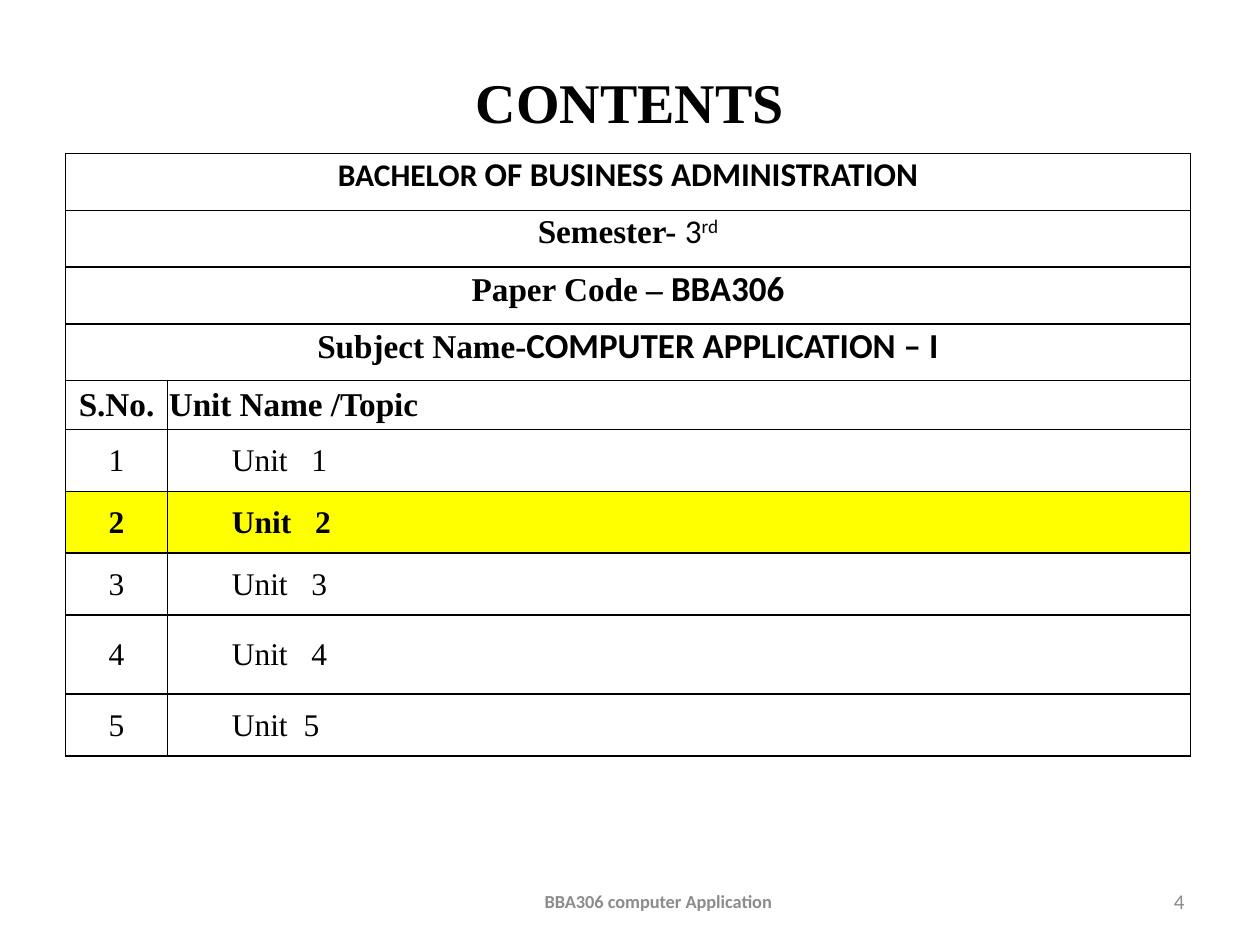
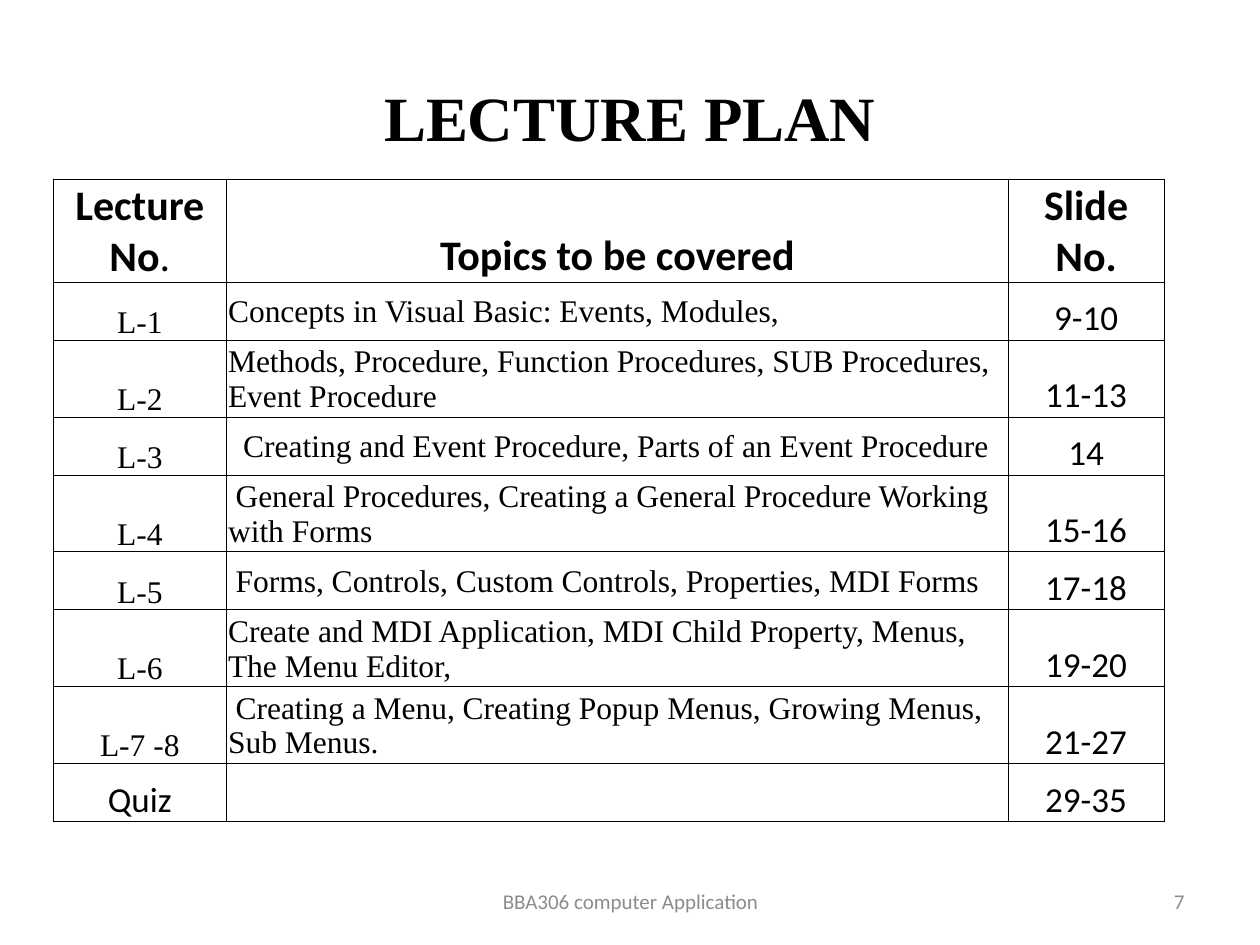
"""Builds the contents and lecture plan slides of a computer application course."""
from dataclasses import dataclass, replace

from lxml.etree import SubElement
from pptx import Presentation
from pptx.dml.color import RGBColor
from pptx.enum.text import MSO_ANCHOR, PP_ALIGN
from pptx.oxml.ns import qn
from pptx.util import Inches, Pt


@dataclass(frozen=True)
class Type:
    font: str
    size: float
    bold: bool = False
    color: str = "000000"
    baseline: int = 0
    spacing: float = 0


@dataclass(frozen=True)
class Theme:
    line: str = "000000"
    highlight: str = "FFFF00"
    title: Type = Type("Times New Roman", 32, True)
    big_title: Type = Type("Times New Roman", 36, True)
    footer: Type = Type("Calibri", 12, color="8C8C8C")
    bold_footer: Type = Type("Calibri", 10.5, True, "8C8C8C")
    label: Type = Type("Times New Roman", 19, True)
    course: Type = Type("Calibri", 19, True)
    small_course: Type = Type("Calibri", 18, True)
    code: Type = Type("Calibri", 20, True)
    semester: Type = Type("Calibri", 19)
    ordinal: Type = Type("Calibri", 19, baseline=30000)
    body: Type = Type("Times New Roman", 18)
    bold_body: Type = Type("Times New Roman", 18, True)
    number: Type = Type("Calibri", 20)
    heading: Type = Type("Calibri", 24, True)
    plain_heading: Type = Type("Calibri", 24)


class Deck:
    """Holds the theme and the current slide, with a method for each element."""

    def __init__(self, theme):
        self.theme = theme
        self.presentation = Presentation()
        self.presentation.slide_width = Inches(10)
        self.presentation.slide_height = Inches(7.5)
        self.page = None

    def add_page(self, title, title_top, title_type, footer_width, footer_type, number):
        """Starts a slide with its title, footer and slide number."""
        self.page = self.presentation.slides.add_slide(self.presentation.slide_layouts[6])
        self.text(title, title_type, 0.5, title_top, 9, 1.25)
        self.text("BBA306 computer Application", footer_type, 3.42, 6.95, footer_width, 0.4)
        self.text(str(number), self.theme.footer, 7.17, 6.95, 2.33, 0.4, PP_ALIGN.RIGHT)

    def text(self, words, kind, left, top, width, height, align=PP_ALIGN.CENTER):
        """Adds a text box with one vertically centred paragraph."""
        box = self.page.shapes.add_textbox(
            Inches(left), Inches(top), Inches(width), Inches(height))
        box.text_frame.word_wrap = True
        box.text_frame.vertical_anchor = MSO_ANCHOR.MIDDLE
        self.fill_para(box.text_frame.paragraphs[0], [(words, kind)], align)

    def style(self, font, kind):
        """Applies a type to a font."""
        font.name = kind.font
        font.size = Pt(kind.size)
        font.bold = kind.bold
        font.color.rgb = RGBColor.from_string(kind.color)

    def fill_para(self, para, spans, align):
        """Fills a paragraph, with the font on the paragraph when all spans agree."""
        para.alignment = align
        shared = len({replace(kind, baseline=0, spacing=0) for _, kind in spans}) == 1
        if shared:
            self.style(para.font, spans[0][1])
        for words, kind in spans:
            span = para.add_run()
            span.text = words
            if not shared:
                self.style(span.font, kind)
            if kind.baseline:
                span._r.get_or_add_rPr().set("baseline", str(kind.baseline))
            if kind.spacing:
                span._r.get_or_add_rPr().set("spc", str(int(kind.spacing * 100)))

    def table(self, left, top, columns, rows, line_width):
        """Adds a plain bordered table and returns it."""
        frame = self.page.shapes.add_table(
            len(rows), len(columns), Inches(left), Inches(top),
            Inches(sum(columns)), Inches(sum(rows)))
        table = frame.table
        table.first_row = table.horz_banding = False
        for column, width in zip(table.columns, columns):
            column.width = Inches(width)
        for row, height in zip(table.rows, rows):
            row.height = Inches(height)
        for cell in table.iter_cells():
            cell.margin_left = cell.margin_top = cell.margin_right = Inches(0.01)
            cell.margin_bottom = 0
            self.border(cell, line_width)
            cell.fill.background()
        return table

    def border(self, cell, line_width):
        """Draws the four borders of a cell."""
        properties = cell._tc.get_or_add_tcPr()
        for side in ("lnL", "lnR", "lnT", "lnB"):
            line = SubElement(properties, qn(f"a:{side}"), w=str(Pt(line_width)))
            fill = SubElement(line, qn("a:solidFill"))
            SubElement(fill, qn("a:srgbClr"), val=self.theme.line)

    def cell(self, cell, spans, align=PP_ALIGN.CENTER, anchor=MSO_ANCHOR.MIDDLE,
             margin=0, indent=0):
        """Puts one paragraph into a table cell."""
        cell.vertical_anchor = anchor
        para = cell.text_frame.paragraphs[0]
        self.fill_para(para, spans, align)
        properties = para._p.get_or_add_pPr()
        properties.set("marL", str(Inches(margin)))
        properties.set("indent", str(Inches(indent)))


def add_contents(deck):
    """Adds the contents slide."""
    theme = deck.theme
    deck.add_page("CONTENTS", 0.18, theme.title, 3.61, theme.bold_footer, 4)
    table = deck.table(0.52, 1.22, [0.81, 8.12],
                       [0.45] * 4 + [0.39] + [0.49] * 3 + [0.63, 0.49], 1)
    banners = [
        [("BACHELOR ", theme.small_course), ("OF BUSINESS ADMINISTRATION", theme.course)],
        [("Semester- ", theme.label), ("3", theme.semester), ("rd", theme.ordinal)],
        [("Paper Code – ", theme.label), ("BBA306", theme.code)],
        [("Subject Name-", theme.label), ("COMPUTER APPLICATION – I", theme.code)],
    ]
    for row, spans in enumerate(banners):
        table.cell(row, 0).merge(table.cell(row, 1))
        deck.cell(table.cell(row, 0), spans, anchor=MSO_ANCHOR.TOP)
    header = len(banners)
    deck.cell(table.cell(header, 0), [("S.No.", theme.label)])
    deck.cell(table.cell(header, 1), [("Unit Name /Topic", theme.label)], PP_ALIGN.JUSTIFY)
    current_unit = 2
    for unit in range(1, 6):
        kind = theme.bold_body if unit == current_unit else theme.body
        gap = replace(kind, spacing=4.5 if unit == 5 else 9)
        number, name = table.cell(header + unit, 0), table.cell(header + unit, 1)
        deck.cell(number, [(str(unit), kind)])
        deck.cell(name, [("Unit", kind), (" ", gap), (str(unit), kind)],
                  PP_ALIGN.LEFT, margin=0.5)
        if unit == current_unit:
            for cell in (number, name):
                cell.fill.solid()
                cell.fill.fore_color.rgb = RGBColor.from_string(theme.highlight)


def add_lecture_plan(deck):
    """Adds the lecture plan slide."""
    theme = deck.theme
    deck.add_page("LECTURE PLAN", 0.3, theme.big_title, 3.17, theme.footer, 7)
    one_line, two_lines = 0.46, 0.56
    lectures = [
        ("L-1", "Concepts in Visual Basic: Events, Modules,", "9-10", 0, one_line),
        ("L-2", "Methods, Procedure, Function Procedures, SUB Procedures, Event Procedure",
         "11-13", 0, two_lines),
        ("L-3", "Creating and Event Procedure, Parts of an Event Procedure",
         "14", 0.12, one_line),
        ("L-4", "General Procedures, Creating a General Procedure Working with Forms",
         "15-16", 0.06, two_lines),
        ("L-5", "Forms, Controls, Custom Controls, Properties, MDI Forms",
         "17-18", 0.06, one_line),
        ("L-6", "Create and MDI Application, MDI Child Property, Menus, The Menu Editor,",
         "19-20", 0, two_lines),
        ("L-7 -8", "Creating a Menu, Creating Popup Menus, Growing Menus, Sub Menus.",
         "21-27", 0.06, two_lines),
        ("Quiz", "", "29-35", 0, one_line),
    ]
    table = deck.table(0.42, 1.42, [1.38, 6.2, 1.24],
                       [0.82] + [lecture[-1] for lecture in lectures], 0.5)
    headings = [
        [("Lecture No", theme.heading), (".", theme.plain_heading)],
        [("Topics to be covered", theme.heading)],
        [("Slide No.", theme.heading)],
    ]
    for column, spans in enumerate(headings):
        deck.cell(table.cell(0, column), spans, anchor=MSO_ANCHOR.BOTTOM)
    for row, (lecture, topic, slides, indent, _) in enumerate(lectures, 1):
        lecture_type = theme.body if topic else theme.number
        deck.cell(table.cell(row, 0), [(lecture, lecture_type)], anchor=MSO_ANCHOR.BOTTOM)
        if topic:
            deck.cell(table.cell(row, 1), [(topic, theme.body)], PP_ALIGN.LEFT, indent=indent)
        deck.cell(table.cell(row, 2), [(slides, theme.number)], anchor=MSO_ANCHOR.BOTTOM)


def main():
    """Builds and saves the deck."""
    deck = Deck(Theme())
    add_contents(deck)
    add_lecture_plan(deck)
    deck.presentation.save("out.pptx")


if __name__ == "__main__":
    main()
